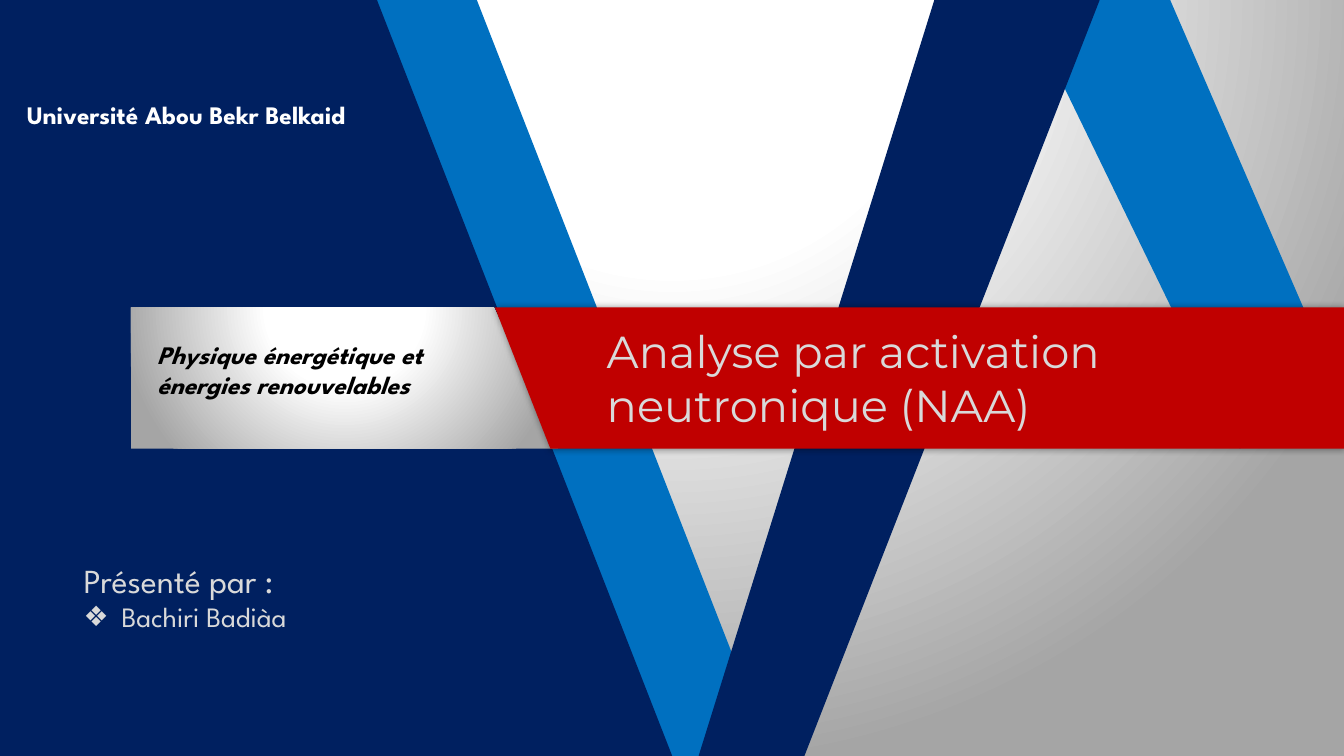
from lxml import etree
from pptx import Presentation
from pptx.dml.color import RGBColor
from pptx.enum import text
from pptx.oxml import ns, parse_xml
from pptx.util import Pt

BLUE = RGBColor(0x00, 0x70, 0xC0)
NAVY = RGBColor(0x00, 0x20, 0x60)
RED = RGBColor(0xC0, 0x00, 0x00)
WHITE = RGBColor(0xFF, 0xFF, 0xFF)
BLACK = RGBColor(0x00, 0x00, 0x00)
SILVER = RGBColor(0xD9, 0xD9, 0xD9)
GRAY = RGBColor(0xA5, 0xA5, 0xA5)

WIDTH, HEIGHT = 960, 540
BAND_TOP, BAND_BOTTOM = 219.6, 320.4
HEADING_FONT, TEXT_FONT = "Montserrat", "League Spartan"
GRADIENT_STOPS = [(0, WHITE), (35, WHITE), (100, GRAY)]

STRIPES = [
    (BLUE, [(770.4, 0), (835.9, 0), (959, 284.4), (885.6, BAND_BOTTOM), (735.8, 12.2)]),
    (BLUE, [(265, 0), (340.6, 0), (551.5, HEIGHT), (432.7, HEIGHT)]),
    (NAVY, [(0, 0), (269.3, 0), (480.2, HEIGHT), (0, HEIGHT)]),
    (NAVY, [(499, HEIGHT), (574.6, HEIGHT), (785.5, 0), (667.4, 0)]),
]
SUBJECT_BAND = [(93.6, BAND_TOP), (352.8, BAND_TOP), (398.9, BAND_BOTTOM), (93.6, BAND_BOTTOM)]
TITLE_BAND = [(353.5, BAND_TOP), (WIDTH, BAND_TOP), (WIDTH, BAND_BOTTOM), (393.1, BAND_BOTTOM)]

LABELS = [
    ("Université Abou Bekr Belkaid", (12.2, 67.7, 277.9, 28.8), WHITE, False),
    ("Physique énergétique et énergies renouvelables", (105.1, 239, 248.4, 51.1), BLACK, True),
]
TITLE = "Analyse par activation neutronique (NAA)"
TITLE_BOX = (426.2, 227.5, 476.6, 85)
PRESENTERS = [("Présenté par :", 24, None), ("Bachiri Badiàa", 20, "❖")]
PRESENTERS_BOX = (52.6, 396, 262.1, 60.5)
BULLET_INDENT = 27


def use_gradient(properties):
    stops = "".join(
        f'<a:gs pos="{position * 1000}"><a:srgbClr val="{color}"/></a:gs>'
        for position, color in GRADIENT_STOPS)
    gradient = parse_xml(
        f'<a:gradFill {ns.nsdecls("a")} rotWithShape="1"><a:gsLst>{stops}</a:gsLst>'
        '<a:path path="circle"><a:fillToRect l="50000" t="-80000" r="50000" b="180000"/>'
        '</a:path></a:gradFill>')
    solid = properties.find(ns.qn("a:solidFill"))
    properties.replace(solid, gradient)


def draw_polygon(slide, points, color):
    corners = [(Pt(x), Pt(y)) for x, y in points]
    builder = slide.shapes.build_freeform(*corners[0])
    builder.add_line_segments(corners[1:], close=True)
    shape = builder.convert_to_shape()
    shape.shadow.inherit = False
    shape.fill.solid()
    shape.fill.fore_color.rgb = color
    shape.line.fill.background()
    return shape


def add_text(paragraph, content, size, font, color, bold=False, italic=False):
    run = paragraph.add_run()
    run.text = content
    run.font.size = Pt(size)
    run.font.name = font
    run.font.color.rgb = color
    run.font.bold = bold
    run.font.italic = italic
    paragraph.alignment = text.PP_ALIGN.LEFT
    paragraph.space_before = Pt(0)


def prepare_frame(frame):
    frame.word_wrap = True
    frame.auto_size = text.MSO_AUTO_SIZE.NONE
    frame.vertical_anchor = text.MSO_ANCHOR.TOP
    return frame


def place_on_top(shape, box):
    shape.left, shape.top, shape.width, shape.height = map(Pt, box)
    shape.element.getparent().append(shape.element)
    return prepare_frame(shape.text_frame)


def set_bullet(paragraph, symbol):
    properties = paragraph._p.get_or_add_pPr()
    indent = Pt(BULLET_INDENT) if symbol else 0
    properties.set("marL", str(indent))
    properties.set("indent", str(-indent))
    if symbol:
        etree.SubElement(properties, ns.qn("a:buChar")).set("char", symbol)
    else:
        etree.SubElement(properties, ns.qn("a:buNone"))


def main():
    presentation = Presentation()
    presentation.slide_width, presentation.slide_height = Pt(WIDTH), Pt(HEIGHT)
    slide = presentation.slides.add_slide(presentation.slide_layouts[1])
    slide.background.fill.solid()
    use_gradient(slide.element.find(".//" + ns.qn("p:bgPr")))

    for color, points in STRIPES:
        draw_polygon(slide, points, color)
    subject_band = draw_polygon(slide, SUBJECT_BAND, WHITE)
    use_gradient(subject_band.element.spPr)
    title_band = draw_polygon(slide, TITLE_BAND, RED)
    effects = title_band.element.spPr.find(ns.qn("a:effectLst"))
    effects.append(parse_xml(
        f'<a:outerShdw {ns.nsdecls("a")} blurRad="{Pt(5)}" dist="0" algn="ctr" rotWithShape="0">'
        '<a:srgbClr val="000000"><a:alpha val="40000"/></a:srgbClr></a:outerShdw>'))

    for content, box, color, italic in LABELS:
        frame = prepare_frame(slide.shapes.add_textbox(*map(Pt, box)).text_frame)
        add_text(frame.paragraphs[0], content, 18, TEXT_FONT, color, True, italic)

    title_frame = place_on_top(slide.shapes.title, TITLE_BOX)
    add_text(title_frame.paragraphs[0], TITLE, 32, HEADING_FONT, SILVER)

    presenters_frame = place_on_top(slide.placeholders[1], PRESENTERS_BOX)
    for index, (content, size, symbol) in enumerate(PRESENTERS):
        paragraph = presenters_frame.add_paragraph() if index else presenters_frame.paragraphs[0]
        add_text(paragraph, content, size, TEXT_FONT, SILVER)
        set_bullet(paragraph, symbol)

    presentation.save("out.pptx")


if __name__ == "__main__":
    main()
